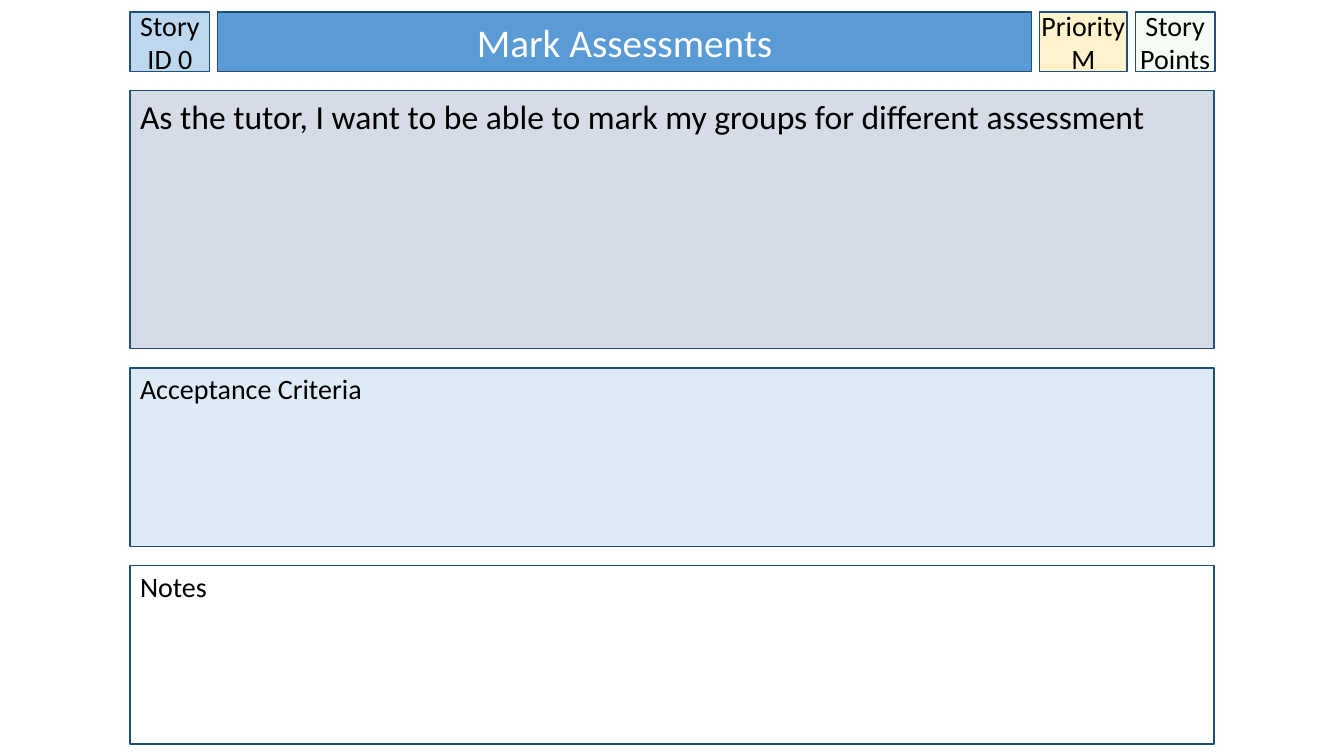
"""Builds a user story card slide."""
from lxml.etree import SubElement
from pptx import Presentation
from pptx.dml.color import RGBColor
from pptx.enum.shapes import MSO_SHAPE
from pptx.enum.text import MSO_ANCHOR, PP_ALIGN
from pptx.oxml.ns import qn
from pptx.util import Inches, Pt

COLORS = {
    "border": "1F4E79", "id": "BDD7EE", "title": "5B9BD5",
    "priority": "FFF2CC", "points": "CCF0CD", "story": "D6DCE5",
    "criteria": "DEEBF7", "white": "FFFFFF", "black": "000000",
}
LEFT, WIDTH = 1.29, 10.75
HEAD_TOP, HEAD_HEIGHT, HEAD_GAP = 0.12, 0.59, 0.08
PANEL_GAP = 0.19


class StoryCard:
    """Holds the card style and the current slide."""

    def __init__(self, slide, font="Calibri"):
        self.slide = slide
        self.font = font

    def color(self, name):
        return RGBColor.from_string(COLORS[name])

    def box(self, x, y, w, h, fill, text, size, color="black", alpha=None):
        sp = self.slide.shapes.add_shape(
            MSO_SHAPE.RECTANGLE, Inches(x), Inches(y), Inches(w), Inches(h))
        sp.shadow.inherit = False
        sp.fill.solid()
        sp.fill.fore_color.rgb = self.color(fill)
        if alpha is not None:
            rgb = sp._element.spPr.find(qn("a:solidFill")).find(qn("a:srgbClr"))
            SubElement(rgb, qn("a:alpha")).set("val", str(alpha * 1000))
        sp.line.color.rgb = self.color("border")
        sp.line.width = Pt(1)
        tf = sp.text_frame
        tf.text = text
        tf.word_wrap = True
        for p in tf.paragraphs:
            for r in p.runs:
                r.font.name = self.font
                r.font.size = Pt(size)
                r.font.color.rgb = self.color(color)
        return tf

    def header(self, x, w, fill, text, size=20, color="black", alpha=None,
               margin=0, wrap=True):
        tf = self.box(x, HEAD_TOP, w, HEAD_HEIGHT, fill, text, size, color, alpha)
        tf.word_wrap = wrap
        tf.vertical_anchor = MSO_ANCHOR.MIDDLE
        tf.margin_left = tf.margin_right = Inches(margin)
        for p in tf.paragraphs:
            p.alignment = PP_ALIGN.CENTER

    def panel(self, y, h, fill, text, size=20, margin_top=0.04):
        tf = self.box(LEFT, y, WIDTH, h, fill, text, size)
        tf.vertical_anchor = MSO_ANCHOR.TOP
        tf.margin_top = Inches(margin_top)
        tf.paragraphs[0].alignment = PP_ALIGN.LEFT


def main():
    prs = Presentation()
    prs.slide_width, prs.slide_height = Inches(13.33), Inches(7.5)
    card = StoryCard(prs.slides.add_slide(prs.slide_layouts[6]))

    headers = [
        (0.79, "id", "Story ID 0", {}),
        (8.07, "title", "Mark Assessments",
         {"size": 28, "color": "white", "margin": 0.1}),
        (0.87, "priority", "Priority\nM", {"wrap": False}),
        (0.79, "points", "Story Points", {"alpha": 20}),
    ]
    x = LEFT
    for w, fill, text, style in headers:
        card.header(x, w, fill, text, **style)
        x += w + HEAD_GAP

    panels = [
        (2.56, "story",
         "As the tutor, I want to be able to mark my groups for different assessment",
         {"size": 24, "margin_top": 0.05}),
        (1.77, "criteria", "Acceptance Criteria", {}),
        (1.77, "white", "Notes", {}),
    ]
    y = HEAD_TOP + HEAD_HEIGHT + PANEL_GAP
    for h, fill, text, style in panels:
        card.panel(y, h, fill, text, **style)
        y += h + PANEL_GAP

    prs.save("out.pptx")


if __name__ == "__main__":
    main()
